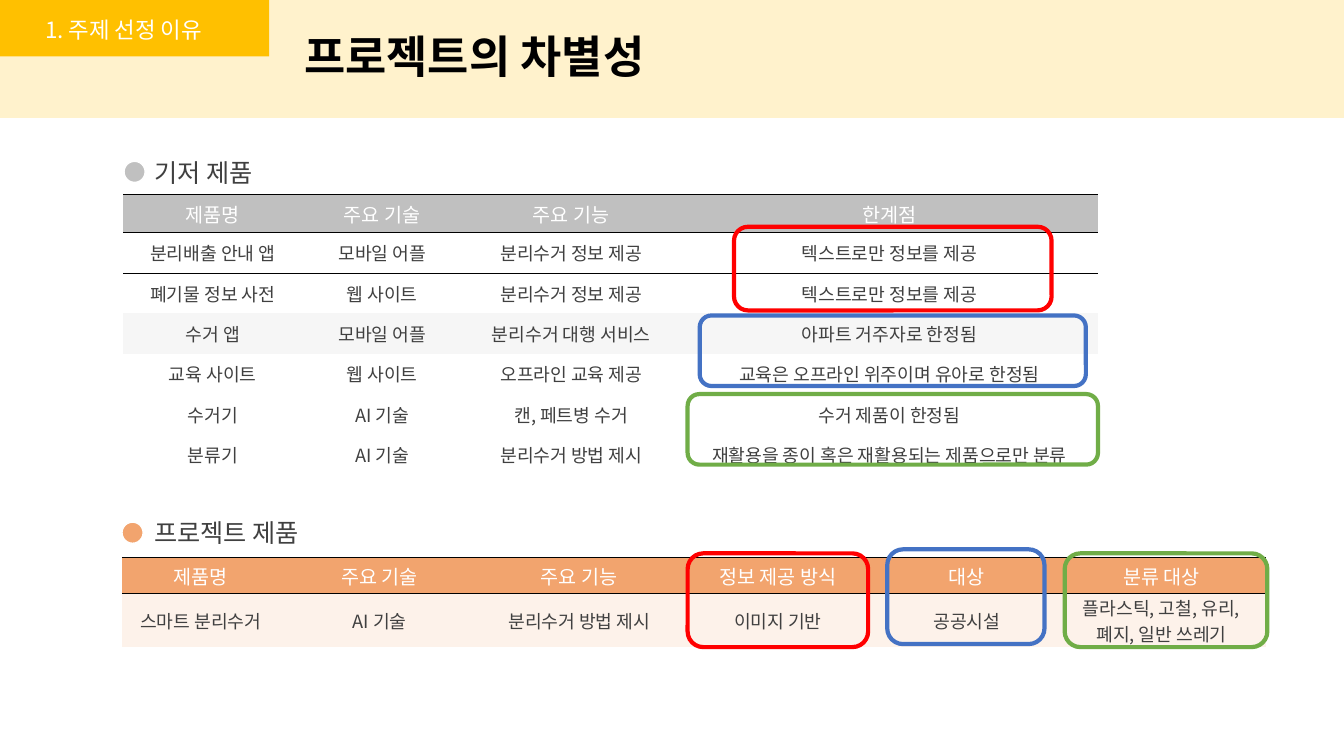
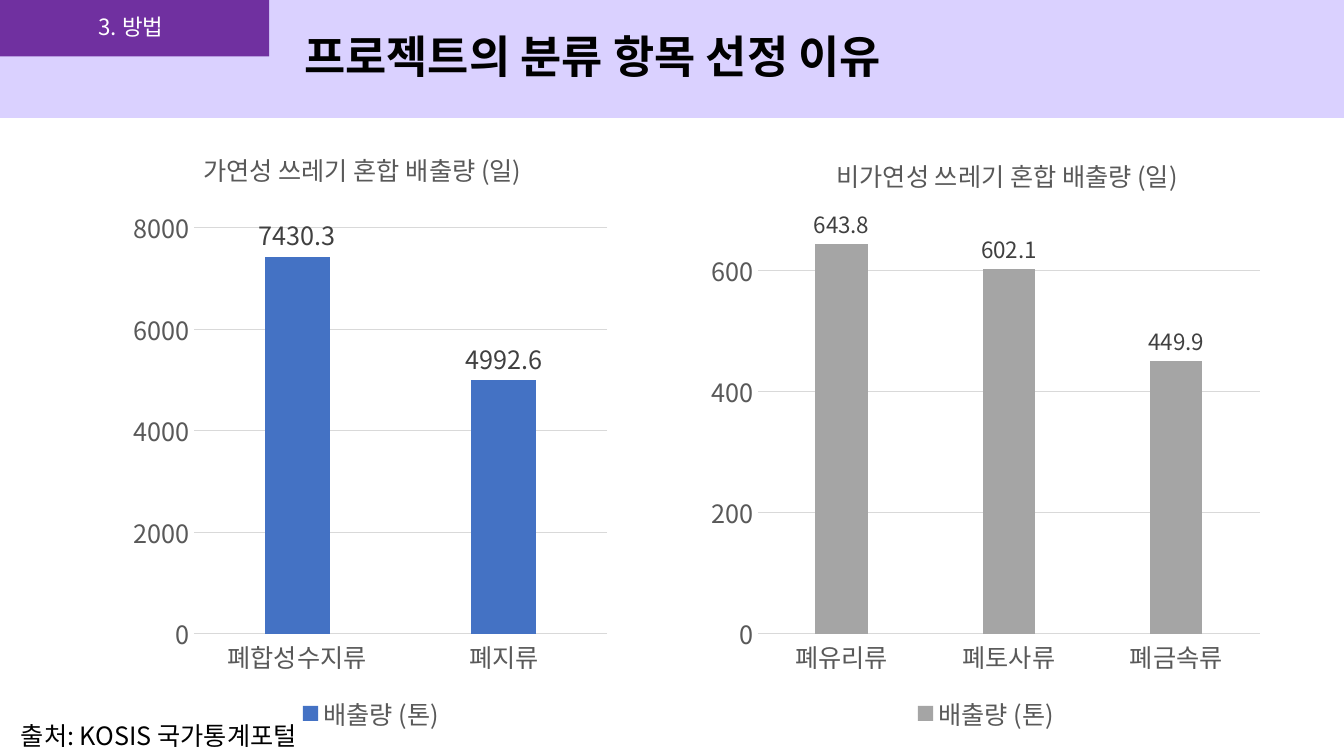
from dataclasses import dataclass

from lxml import etree
from pptx import Presentation
from pptx import util as u
from pptx.chart import data as chart_data
from pptx.dml import color
from pptx.enum import chart as chart_enum
from pptx.enum import shapes, text
from pptx.oxml import ns


@dataclass(frozen=True)
class Theme:
    font: str = "Noto Sans CJK KR"
    black: str = "000000"
    white: str = "FFFFFF"
    body: str = "404040"
    axis: str = "595959"
    grid: str = "D9D9D9"
    stripe: str = "F6F6F6"
    gray: str = "C0C0C0"
    orange: str = "F2A46E"
    peach: str = "FDF2EA"
    red: str = "FF0000"
    blue: str = "4472C4"
    green: str = "70AD47"
    silver: str = "A5A5A5"
    title_size: int = 32
    section_size: int = 18
    tag_size: int = 16
    header_size: int = 14
    cell_size: int = 13


THEME = Theme()

REASON_SLIDE = {
    "band": "FFF2CC", "tag_fill": "FFC000", "tag": "1. 주제 선정 이유",
    "tag_at": (0.35, 0.11), "title": "프로젝트의 차별성",
}
METHOD_SLIDE = {
    "band": "DAD1FF", "tag_fill": "7030A0", "tag": "3. 방법",
    "tag_at": (0.88, 0.08), "title": "프로젝트의 분류 항목 선정 이유",
}

PRODUCT_TABLES = [
    {
        "heading": "기저 제품", "heading_top": 1.51, "dot": (1.23, 1.6),
        "at": (1.22, 1.93), "columns": (1.78, 1.58, 2.17, 4.14),
        "header_height": 0.38, "row_height": 0.4,
        "header_fill": THEME.gray,
        "row_fills": (THEME.white, THEME.white, THEME.stripe) + (THEME.white,) * 3,
        "rows": [
            ("제품명", "주요 기술", "주요 기능", "한계점"),
            ("분리배출 안내 앱", "모바일 어플", "분리수거 정보 제공", "텍스트로만 정보를 제공"),
            ("폐기물 정보 사전", "웹 사이트", "분리수거 정보 제공", "텍스트로만 정보를 제공"),
            ("수거 앱", "모바일 어플", "분리수거 대행 서비스", "아파트 거주자로 한정됨"),
            ("교육 사이트", "웹 사이트", "오프라인 교육 제공", "교육은 오프라인 위주이며 유아로 한정됨"),
            ("수거기", "AI 기술", "캔, 페트병 수거", "수거 제품이 한정됨"),
            ("분류기", "AI 기술", "분리수거 방법 제시", "재활용을 종이 혹은 재활용되는 제품으로만 분류"),
        ],
    },
    {
        "heading": "프로젝트 제품", "heading_top": 5.08, "dot": (1.21, 5.18),
        "at": (1.21, 5.53), "columns": (1.56, 1.99, 1.97, 1.97, 1.78, 2.08),
        "header_height": 0.36, "row_height": 0.53,
        "header_fill": THEME.orange, "row_fills": (THEME.peach,),
        "rows": [
            ("제품명", "주요 기술", "주요 기능", "정보 제공 방식", "대상", "분류 대상"),
            ("스마트 분리수거", "AI 기술", "분리수거 방법 제시", "이미지 기반", "공공시설",
             "플라스틱, 고철, 유리, 폐지, 일반 쓰레기"),
        ],
    },
]

HIGHLIGHTS = [
    (THEME.red, (7.28, 2.25, 3.15, 0.83)),
    (THEME.red, (6.82, 5.49, 1.79, 0.93)),
    (THEME.blue, (6.94, 3.13, 3.83, 0.7)),
    (THEME.blue, (8.8, 5.45, 1.56, 0.94)),
    (THEME.green, (6.82, 3.91, 4.07, 0.7)),
    (THEME.green, (10.56, 5.49, 2.01, 0.93)),
]

WASTE_CHARTS = [
    {
        "title": "가연성 쓰레기 혼합 배출량 (일)", "at": (1.24, 1.3, 4.88, 6.01),
        "values": {"폐합성수지류": 7430.3, "폐지류": 4992.6},
        "maximum": 8000, "step": 2000, "fill": THEME.blue, "label_size": 18,
        "title_layout": {"x": 0.15, "y": 0.02},
        "plot_layout": {"x": 0.14, "y": 0.16, "w": 0.84, "h": 0.67},
    },
    {
        "title": "비가연성 쓰레기 혼합 배출량 (일)", "at": (6.95, 1.3, 5.66, 6.01),
        "values": {"폐유리류": 643.8, "폐토사류": 602.1, "폐금속류": 449.9},
        "maximum": 700, "step": 200, "fill": THEME.silver, "label_size": 16,
        "title_layout": {"x": 0.23, "y": 0.03},
        "plot_layout": {"x": 0.1, "y": 0.13, "w": 0.88, "h": 0.7},
    },
]
SERIES_NAME = "배출량 (톤)"
SOURCE_TEXT = "출처: KOSIS 국가통계포털"
NO_TABLE_STYLE = "{2D5ABB26-0587-4C30-8999-92F81FD0307C}"


def rgb(value):
    return color.RGBColor.from_string(value)


def inches(values):
    return [u.Inches(value) for value in values]


def style_font(font, size, value, bold=False):
    font.size = u.Pt(size)
    font.bold = bold
    font.color.rgb = rgb(value)
    font.name = THEME.font
    etree.SubElement(font._rPr, ns.qn("a:ea")).set("typeface", THEME.font)


def write(paragraph, content, size, value, bold=False):
    run = paragraph.add_run()
    run.text = content
    style_font(run.font, size, value, bold)


def add_text(slide, at, content, size, value, bold=False):
    frame = slide.shapes.add_textbox(*inches(at)).text_frame
    frame.word_wrap = True
    write(frame.paragraphs[0], content, size, value, bold)


def add_shape(slide, kind, at, fill=None, line=None, width=1):
    shape = slide.shapes.add_shape(kind, *inches(at))
    shape.shadow.inherit = False
    if fill:
        shape.fill.solid()
        shape.fill.fore_color.rgb = rgb(fill)
    else:
        shape.fill.background()
    if line:
        shape.line.color.rgb = rgb(line)
        shape.line.width = u.Pt(width)
    else:
        shape.line.fill.background()


def add_slide(presentation, header):
    slide = presentation.slides.add_slide(presentation.slide_layouts[6])
    rectangle = shapes.MSO_SHAPE.RECTANGLE
    add_shape(slide, rectangle, (0, 0, 13.33, 1.16), header["band"], header["band"])
    add_shape(slide, rectangle, (0, 0, 2.67, 0.56), header["tag_fill"])
    add_text(slide, (2.92, 0.24, 9, 0.64), header["title"], THEME.title_size, THEME.black, True)
    add_text(slide, (*header["tag_at"], 2.2, 0.37), header["tag"], THEME.tag_size, THEME.white)
    return slide


def add_border(cell, side):
    line = etree.SubElement(cell._tc.get_or_add_tcPr(), ns.qn(f"a:ln{side}"), w=str(u.Pt(1)))
    fill = etree.SubElement(line, ns.qn("a:solidFill"))
    etree.SubElement(fill, ns.qn("a:srgbClr"), val=THEME.black)


def fill_cell(cell, content, size, value, fill, borders):
    for side in borders:
        add_border(cell, side)
    cell.fill.solid()
    cell.fill.fore_color.rgb = rgb(fill)
    cell.vertical_anchor = text.MSO_ANCHOR.MIDDLE
    cell.margin_top = cell.margin_bottom = 0
    paragraph = cell.text_frame.paragraphs[0]
    paragraph.alignment = text.PP_ALIGN.CENTER
    write(paragraph, content, size, value)


def add_product_table(slide, product):
    rows, columns = product["rows"], product["columns"]
    heights = [product["header_height"]] + [product["row_height"]] * (len(rows) - 1)
    fills = (product["header_fill"], *product["row_fills"])
    borders = ["TB", "T"] + [""] * (len(rows) - 2)
    size = (sum(columns), sum(heights))
    table = slide.shapes.add_table(len(rows), len(columns), *inches(product["at"] + size)).table
    table.horz_banding = False
    table._tbl.tblPr.find(ns.qn("a:tableStyleId")).text = NO_TABLE_STYLE
    for column, width in zip(table.columns, columns):
        column.width = u.Inches(width)
    for index, row in enumerate(rows):
        table.rows[index].height = u.Inches(heights[index])
        font = (THEME.cell_size, THEME.body) if index else (THEME.header_size, THEME.white)
        for position, content in enumerate(row):
            fill_cell(table.cell(index, position), content, *font, fills[index], borders[index])
    add_text(slide, (1.43, product["heading_top"], 3.15, 0.4), product["heading"],
             THEME.section_size, THEME.body)
    add_shape(slide, shapes.MSO_SHAPE.OVAL, (*product["dot"], 0.21, 0.21),
              product["header_fill"], THEME.white)


def set_layout(element, index, places, inner=False):
    for old in element.findall(ns.qn("c:layout")):
        element.remove(old)
    layout = etree.Element(ns.qn("c:layout"))
    element.insert(index, layout)
    manual = etree.SubElement(layout, ns.qn("c:manualLayout"))
    if inner:
        etree.SubElement(manual, ns.qn("c:layoutTarget"), val="inner")
    for mode in ("xMode", "yMode"):
        etree.SubElement(manual, ns.qn(f"c:{mode}"), val="edge")
    for name, value in places.items():
        etree.SubElement(manual, ns.qn(f"c:{name}"), val=str(value))


def style_line(line):
    line.color.rgb = rgb(THEME.grid)
    line.width = u.Pt(0.75)


def add_waste_chart(slide, waste):
    data = chart_data.CategoryChartData()
    data.categories = list(waste["values"])
    data.add_series(SERIES_NAME, list(waste["values"].values()))
    chart = slide.shapes.add_chart(
        chart_enum.XL_CHART_TYPE.COLUMN_CLUSTERED, *inches(waste["at"]), data).chart
    style_font(chart.font, THEME.section_size, THEME.axis)

    chart.has_title = True
    write(chart.chart_title.text_frame.paragraphs[0], waste["title"],
          THEME.section_size, THEME.axis)
    set_layout(chart.chart_title._element, 1, waste["title_layout"])
    set_layout(chart._chartSpace.chart.plotArea, 0, waste["plot_layout"], inner=True)

    chart.has_legend = True
    chart.legend.position = chart_enum.XL_LEGEND_POSITION.BOTTOM
    chart.legend.include_in_layout = False
    style_font(chart.legend.font, THEME.section_size, THEME.axis)

    for axis in (chart.category_axis, chart.value_axis):
        axis.major_tick_mark = chart_enum.XL_TICK_MARK.NONE
        style_font(axis.tick_labels.font, THEME.section_size, THEME.axis)
    style_line(chart.category_axis.format.line)
    value_axis = chart.value_axis
    value_axis.format.line.fill.background()
    value_axis.minimum_scale = 0
    value_axis.maximum_scale = waste["maximum"]
    value_axis.major_unit = waste["step"]
    style_line(value_axis.major_gridlines.format.line)

    plot = chart.plots[0]
    plot.vary_by_categories = False
    plot.gap_width = 219
    plot.overlap = -27
    series = plot.series[0]
    series.format.fill.solid()
    series.format.fill.fore_color.rgb = rgb(waste["fill"])
    labels = series.data_labels
    labels.show_value = True
    labels.position = chart_enum.XL_LABEL_POSITION.OUTSIDE_END
    style_font(labels.font, waste["label_size"], THEME.body)


def main():
    presentation = Presentation()
    presentation.slide_width, presentation.slide_height = inches((13.33, 7.5))

    reason = add_slide(presentation, REASON_SLIDE)
    for product in PRODUCT_TABLES:
        add_product_table(reason, product)
    for value, at in HIGHLIGHTS:
        add_shape(reason, shapes.MSO_SHAPE.ROUNDED_RECTANGLE, at, line=value, width=3)

    method = add_slide(presentation, METHOD_SLIDE)
    for waste in WASTE_CHARTS:
        add_waste_chart(method, waste)
    add_text(method, (0.11, 7.1, 3.4, 0.4), SOURCE_TEXT, THEME.section_size, THEME.black)

    presentation.save("out.pptx")


if __name__ == "__main__":
    main()
